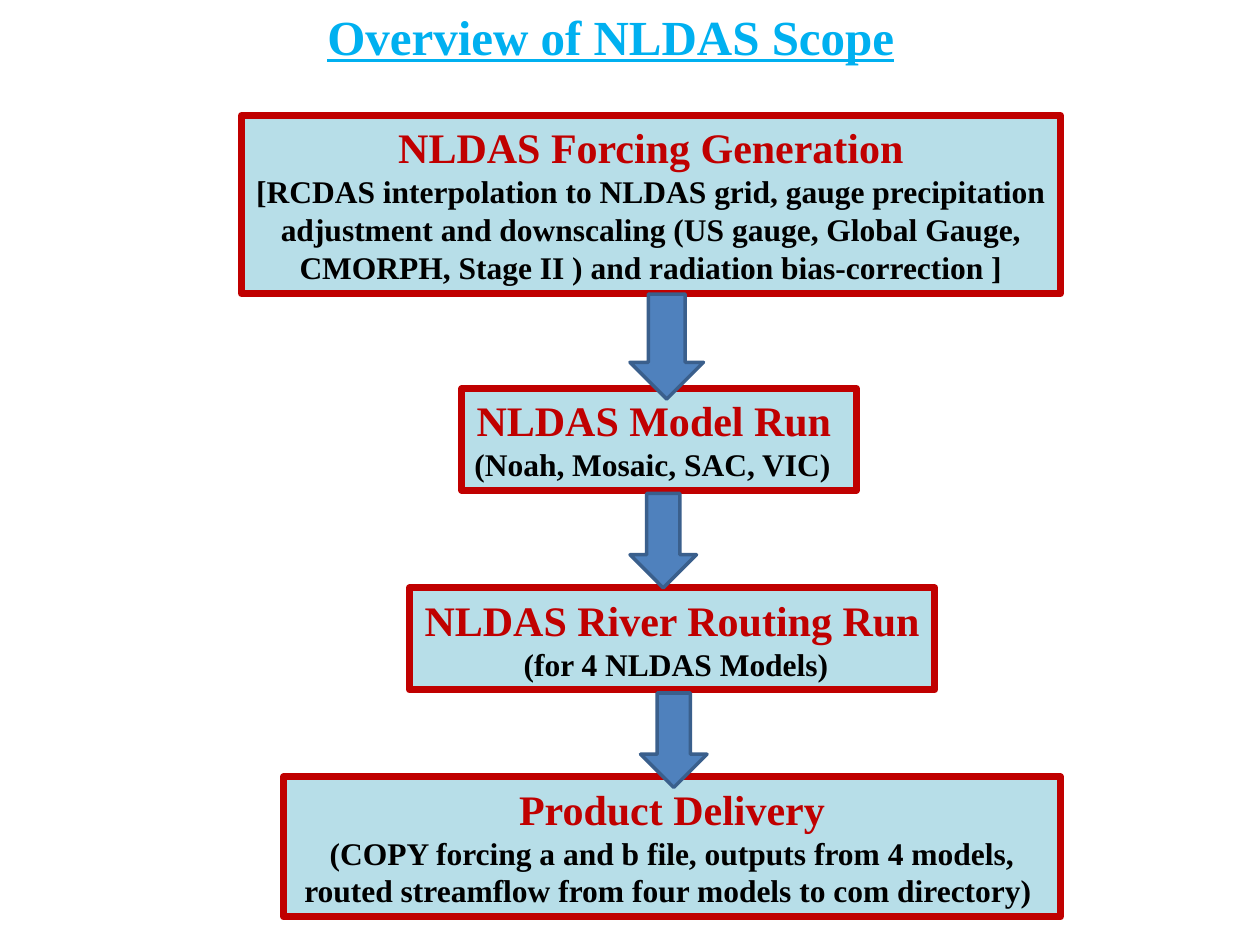
from dataclasses import dataclass

from pptx import Presentation
from pptx.dml.color import RGBColor
from pptx.enum.shapes import MSO_SHAPE
from pptx.enum.text import MSO_ANCHOR, MSO_AUTO_SIZE, PP_ALIGN
from pptx.util import Pt

DOWN = MSO_SHAPE.DOWN_ARROW
TOP = MSO_ANCHOR.TOP
FIT = MSO_AUTO_SIZE.SHAPE_TO_FIT_TEXT
LEFT, MID = PP_ALIGN.LEFT, PP_ALIGN.CENTER


@dataclass(frozen=True)
class Theme:
    """Hold the colours, type sizes and line widths."""
    font: str = "Times New Roman"
    title: str = "00B0F0"
    head: str = "C00000"
    body: str = "000000"
    box: str = "B7DEE8"
    arrow: str = "4F81BD"
    edge: str = "3A5F8C"
    title_size: int = 28
    head_size: int = 24
    body_size: int = 18
    box_line: int = 4
    arrow_line: int = 2


THEME = Theme()


def paint(shape, fill, line, width):
    """Set the solid fill and the outline of a shape."""
    shape.fill.solid()
    shape.fill.fore_color.rgb = RGBColor.from_string(fill)
    shape.line.color.rgb = RGBColor.from_string(line)
    shape.line.width = Pt(width)


def add_text(slide, area, wrap):
    """Add a text box that grows with its text."""
    box = slide.shapes.add_textbox(*map(Pt, area))
    frame = box.text_frame
    frame.word_wrap = wrap
    frame.auto_size = FIT
    frame.vertical_anchor = TOP
    return box


def add_run(para, text, size, color, align):
    """Add one bold run to a paragraph and align it."""
    para.alignment = align
    run = para.add_run()
    run.text = text
    font = run.font
    font.name = THEME.font
    font.size = Pt(size)
    font.bold = True
    font.color.rgb = RGBColor.from_string(color)
    return run


def add_title(slide, text, area):
    """Add the underlined slide title."""
    box = add_text(slide, area, False)
    run = add_run(box.text_frame.paragraphs[0], text,
                  THEME.title_size, THEME.title, LEFT)
    run.font.underline = True


def add_step(slide, head, body, area, wrap, align):
    """Add a framed step with a heading and its details."""
    box = add_text(slide, area, wrap)
    paint(box, THEME.box, THEME.head, THEME.box_line)
    frame = box.text_frame
    add_run(frame.paragraphs[0], head, THEME.head_size, THEME.head, MID)
    add_run(frame.add_paragraph(), body, THEME.body_size, THEME.body, align)


def add_arrow(slide, area):
    """Add a block arrow that points down to the next step."""
    arrow = slide.shapes.add_shape(DOWN, *map(Pt, area))
    arrow.shadow.inherit = False
    paint(arrow, THEME.arrow, THEME.edge, THEME.arrow_line)


def main():
    """Build the slide and save it."""
    deck = Presentation()
    deck.slide_width, deck.slide_height = Pt(720), Pt(540)
    slide = deck.slides.add_slide(deck.slide_layouts[6])
    add_title(slide, "Overview of NLDAS Scope", (180, 0, 342, 41.2))
    steps = [
        ("NLDAS Forcing Generation",
         "[RCDAS interpolation to NLDAS grid, gauge precipitation adjustment "
         "and downscaling (US gauge, Global Gauge, CMORPH, Stage II ) and "
         "radiation bias-correction ]",
         (138, 66, 468, 101.8), True, MID),
        ("NLDAS Model Run ", "(Noah, Mosaic, SAC, VIC)",
         (264, 222, 225.4, 58.2), False, LEFT),
        ("NLDAS River Routing Run", " (for 4 NLDAS Models)",
         (234, 336, 300.2, 58.2), False, MID),
        ("Product Delivery",
         "(COPY forcing a and b file, outputs from 4 models, routed "
         "streamflow from four models to com directory) ",
         (162, 444, 444, 80), True, MID),
    ]
    for step in steps:
        add_step(slide, *step)
    for area in [(360, 168, 42, 60), (360, 282, 38, 54), (366, 396, 38, 54)]:
        add_arrow(slide, area)
    deck.save("out.pptx")


if __name__ == "__main__":
    main()
